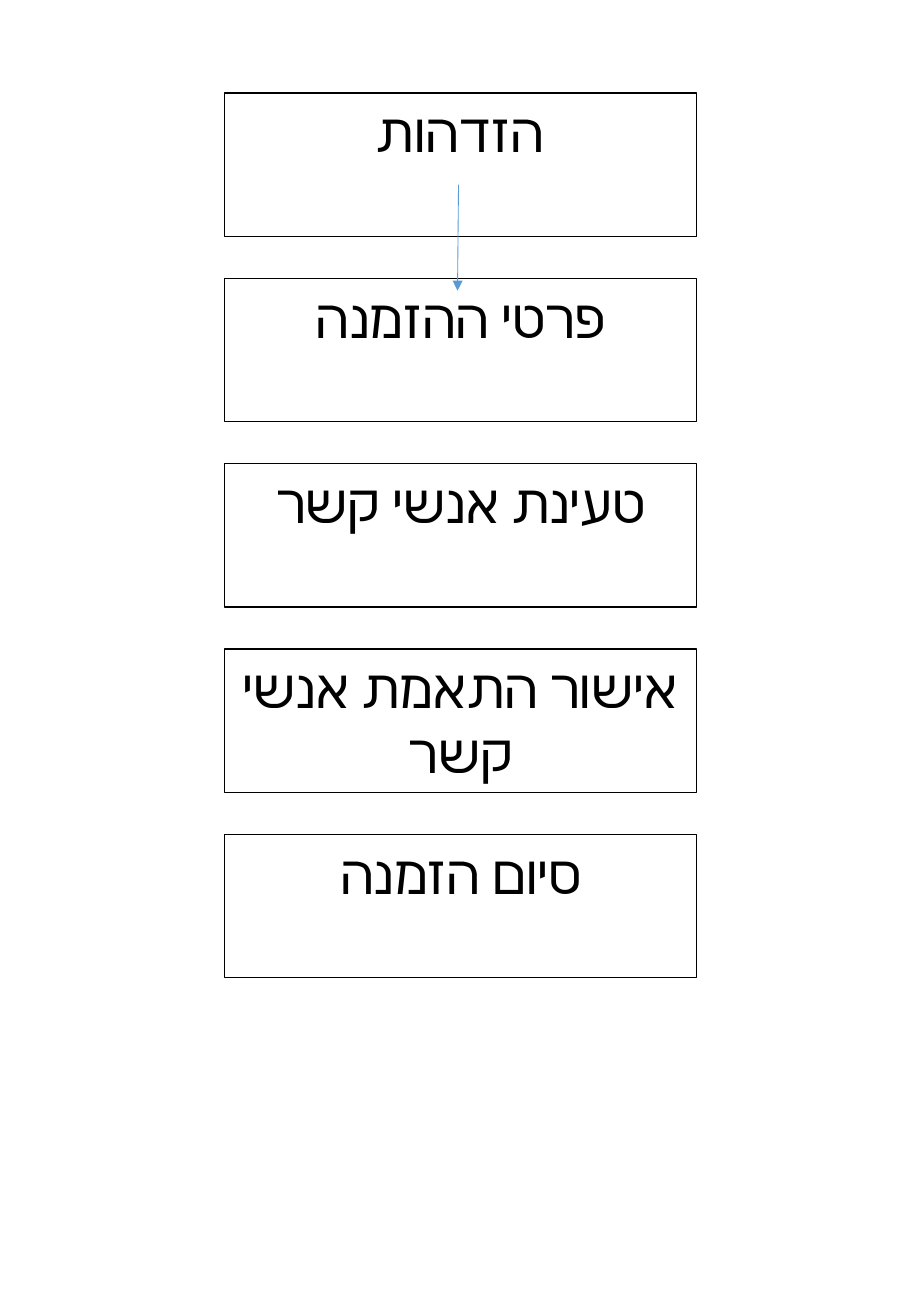
from lxml import etree
from pptx import Presentation
from pptx.dml.color import RGBColor
from pptx.enum.shapes import MSO_CONNECTOR, MSO_SHAPE
from pptx.enum.text import MSO_ANCHOR, PP_ALIGN
from pptx.oxml.ns import qn
from pptx.util import Pt

RECTANGLE = MSO_SHAPE.RECTANGLE
STRAIGHT = MSO_CONNECTOR.STRAIGHT
TOP = MSO_ANCHOR.TOP
CENTER = PP_ALIGN.CENTER

STEPS = [
    "הזדהות",
    "פרטי ההזמנה",
    "טעינת אנשי קשר",
    "אישור התאמת אנשי קשר",
    "סיום הזמנה",
]
PAGE_WIDTH, PAGE_HEIGHT = 540, 780
STEP_LEFT, FIRST_TOP = 133.1, 55.1
STEP_WIDTH, STEP_HEIGHT, STEP_PITCH = 280, 85, 109.85
ARROW_START, ARROW_END = (271.8, 109.5), (271.2, 172.3)
FONT = "Calibri"
STEP_FORMAT = {"size": Pt(32), "name": FONT}
FRAME_FORMAT = {"word_wrap": True, "vertical_anchor": TOP}


def colour(hex_value):
    return RGBColor.from_string(hex_value)


def apply(target, values):
    for key, value in values.items():
        setattr(target, key, value)


def set_line(line, hex_value, width):
    line.color.rgb = colour(hex_value)
    line.width = Pt(width)


def add_step(slide, label, top):
    step = slide.shapes.add_shape(
        RECTANGLE, Pt(STEP_LEFT), Pt(top), Pt(STEP_WIDTH), Pt(STEP_HEIGHT))
    step.shadow.inherit = False
    step.fill.background()
    set_line(step.line, "000000", 0.75)
    apply(step.text_frame, FRAME_FORMAT)
    paragraph = step.text_frame.paragraphs[0]
    paragraph.alignment = CENTER
    paragraph._p.get_or_add_pPr().set("rtl", "1")
    run = paragraph.add_run()
    run.text = label
    apply(run.font, STEP_FORMAT)
    run.font.color.rgb = colour("000000")
    etree.SubElement(run._r.get_or_add_rPr(), qn("a:cs"), typeface=FONT)


def add_arrow(slide):
    ends = [Pt(value) for value in ARROW_START + ARROW_END]
    arrow = slide.shapes.add_connector(STRAIGHT, *ends)
    set_line(arrow.line, "5B9BD5", 0.5)
    etree.SubElement(arrow.line._get_or_add_ln(), qn("a:tailEnd"), type="triangle")
    etree.SubElement(arrow._element.spPr, qn("a:effectLst"))


def main():
    deck = Presentation()
    apply(deck, {"slide_width": Pt(PAGE_WIDTH), "slide_height": Pt(PAGE_HEIGHT)})
    slide = deck.slides.add_slide(deck.slide_layouts[6])
    for index, label in enumerate(STEPS):
        add_step(slide, label, FIRST_TOP + index * STEP_PITCH)
    add_arrow(slide)
    deck.save("out.pptx")


if __name__ == "__main__":
    main()
